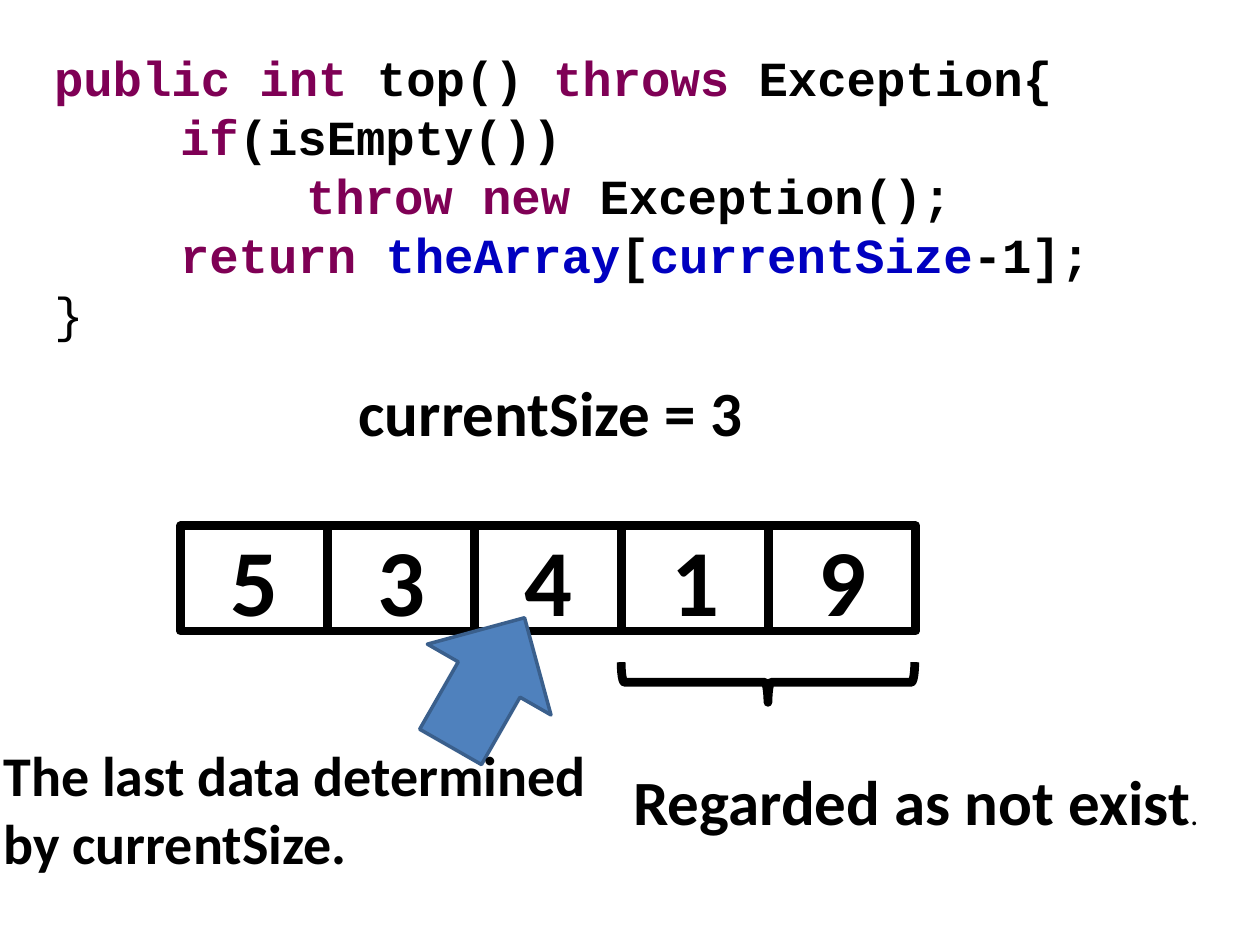
from dataclasses import dataclass

from pptx import Presentation
from pptx.dml.color import RGBColor
from pptx.enum import shapes, text
from pptx.util import Cm, Pt


@dataclass(frozen=True)
class Theme:
    black: str = "000000"
    white: str = "FFFFFF"
    keyword: str = "7F0055"
    field: str = "0000C0"
    arrow: str = "4F81BD"
    arrow_line: str = "3A5F8C"
    body_font: str = "Calibri"
    code_font: str = "Courier New"
    code: int = 28
    label: int = 36
    note: int = 32
    value: int = 54
    small: int = 18
    heavy: int = 5
    thin: int = 2


T = Theme()


def add_text(p, content, size=T.label, color=T.black, bold=True, font=T.body_font):
    r = p.add_run()
    r.text = content
    r.font.name, r.font.size, r.font.bold = font, Pt(size), bold
    r.font.color.rgb = RGBColor.from_string(color)
    return r


def add_box(parent, x, y, w, h):
    sp = parent.add_textbox(Cm(x), Cm(y), Cm(w), Cm(h))
    sp.text_frame.word_wrap = True
    return sp.text_frame


def add_shape(parent, kind, x, y, w, h, fill=None, line=T.black, width=T.heavy, rotation=0):
    sp = parent.add_shape(kind, Cm(x), Cm(y), Cm(w), Cm(h))
    sp.shadow.inherit = False
    sp.rotation = rotation
    if fill:
        sp.fill.solid()
        sp.fill.fore_color.rgb = RGBColor.from_string(fill)
    else:
        sp.fill.background()
    sp.line.color.rgb = RGBColor.from_string(line)
    sp.line.width = Pt(width)
    return sp


# Code listing: each line is an indent level and its coloured pieces
CODE = [
    (0, [("public int", T.keyword), (" top() ", T.black),
         ("throws", T.keyword), (" Exception{", T.black)]),
    (1, [("if", T.keyword), ("(isEmpty())", T.black)]),
    (2, [("throw new", T.keyword), (" Exception();", T.black)]),
    (1, [("return ", T.keyword), ("theArray", T.field), ("[", T.black),
         ("currentSize", T.field), ("-1];", T.black)]),
    (0, [("}", T.black)]),
]


def code_listing(parent, x, y, w, h, indent=2.54):
    tf = add_box(parent, x, y, w, h)
    for i, (level, pieces) in enumerate(CODE):
        p = tf.paragraphs[0] if i == 0 else tf.add_paragraph()
        p._p.get_or_add_pPr().set("marL", str(Cm(level * indent)))
        for content, color in pieces:
            add_text(p, content, size=T.code, color=color,
                     bold=content != "}", font=T.code_font)


def array_row(parent, x, y, w, h, values):
    group = parent.add_group_shape().shapes
    cell_w = w / len(values)
    for i, value in enumerate(values):
        sp = add_shape(group, shapes.MSO_SHAPE.RECTANGLE,
                       x + i * cell_w, y, cell_w, h, fill=T.white)
        tf = sp.text_frame
        tf.vertical_anchor = text.MSO_ANCHOR.MIDDLE
        p = tf.paragraphs[0]
        p.alignment = text.PP_ALIGN.CENTER
        add_text(p, str(value), size=T.value)


def size_label(parent, x, y, w, h):
    add_text(add_box(parent, x, y, w, h).paragraphs[0], "currentSize = 3")


def ignored_part(parent, x, y, w, h):
    group = parent.add_group_shape().shapes
    # The brace is drawn upright, then turned about its centre
    span, depth = 5.92, 0.81
    add_shape(group, shapes.MSO_SHAPE.RIGHT_BRACE, x + (span - depth) / 2,
              y + (depth - span) / 2 + 0.45, depth, span, rotation=90)
    p = add_box(group, x, y + h - 1.8, w, 1.8).paragraphs[0]
    add_text(p, "Regarded as not exist")
    add_text(p, ".", size=T.small, bold=False)


def last_item(parent, x, y, w, h):
    group = parent.add_group_shape().shapes
    add_shape(group, shapes.MSO_SHAPE.RIGHT_ARROW, x + 8.51, y, 3, 2.87,
              fill=T.arrow, line=T.arrow_line, width=T.thin, rotation=299.8)
    p = add_box(group, x, y + h - 3, w, 3).paragraphs[0]
    add_text(p, "The last data determined by currentSize.", size=T.note)


def build():
    prs = Presentation()
    prs.slide_width, prs.slide_height = Cm(25.4), Cm(19.05)
    s = prs.slides.add_slide(prs.slide_layouts[6])
    code_listing(s.shapes, 0.84, 0.84, 24.56, 7.44)
    array_row(s.shapes, 3.64, 10.6, 14.82, 2.12, [5, 3, 4, 1, 9])
    size_label(s.shapes, 6.98, 7.4, 12.27, 1.8)
    ignored_part(s.shapes, 12.52, 12.9, 12.45, 4.14)
    last_item(s.shapes, -0.18, 12.32, 13.54, 5.49)
    prs.save("out.pptx")


build()
